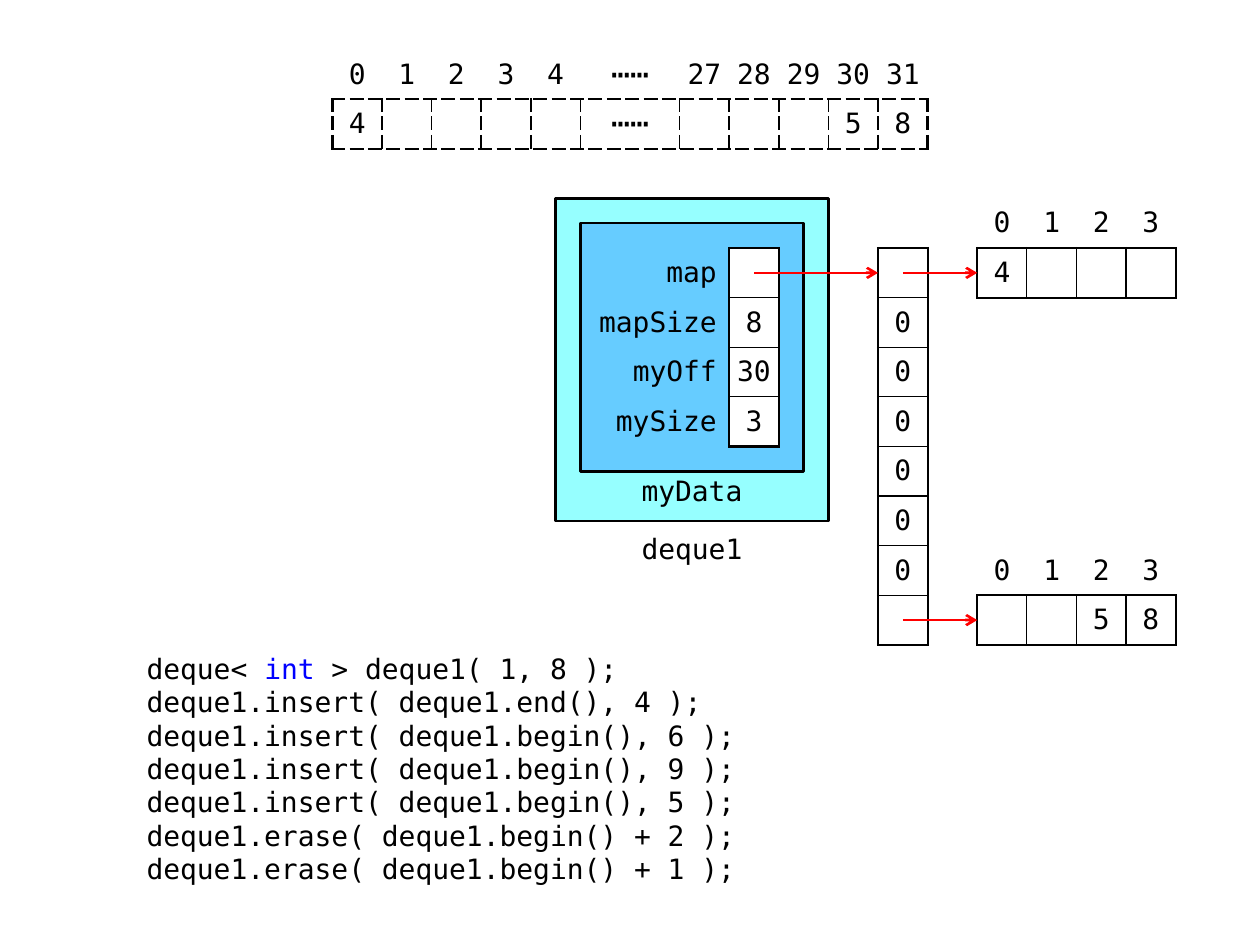
from dataclasses import dataclass

from lxml.etree import SubElement
from pptx import Presentation
from pptx.dml.color import RGBColor
from pptx.enum.shapes import MSO_CONNECTOR, MSO_SHAPE
from pptx.enum.text import MSO_ANCHOR, MSO_AUTO_SIZE, PP_ALIGN
from pptx.oxml.ns import qn
from pptx.util import Cm, Pt


@dataclass(frozen=True)
class Theme:
    font: str = "DejaVu Sans Mono"
    text_size: Pt = Pt(16)
    dots_size: Pt = Pt(18)
    code_spacing: Pt = Pt(19.15)
    outline: Pt = Pt(1.5)
    black: RGBColor = RGBColor(0, 0, 0)
    white: RGBColor = RGBColor(255, 255, 255)
    keyword: RGBColor = RGBColor(0, 0, 255)
    arrow: RGBColor = RGBColor(255, 0, 0)
    deque_fill: RGBColor = RGBColor(0x96, 0xFF, 0xFF)
    data_fill: RGBColor = RGBColor(0x66, 0xCC, 0xFF)


THEME = Theme()
NO_STYLE_NO_GRID = "{2D5ABB26-0587-4C30-8999-92F81FD0307C}"
DOTS = "⋯⋯"


def format_runs(paragraph, alignment):
    paragraph.alignment = alignment
    for run in paragraph.runs:
        run.font.name = THEME.font
        run.font.size = THEME.dots_size if run.text == DOTS else THEME.text_size
        run.font.color.rgb = THEME.keyword if run.text == "int" else THEME.black


def add_grid(slide, left, top, widths, rows, box_row=0, box_column=0,
             inner=Pt(0.75), dash="solid"):
    """Add a table of 1 cm rows; cells from box_row and box_column on are boxed."""
    last_row, last_column = len(rows) - 1, len(widths) - 1
    table = slide.shapes.add_table(len(rows), len(widths), Cm(left), Cm(top),
                                   Cm(sum(widths)), Cm(len(rows))).table
    table.first_row = table.horz_banding = False
    table._tbl.tblPr.find(qn("a:tableStyleId")).text = NO_STYLE_NO_GRID
    for column, width in zip(table.columns, widths):
        column.width = Cm(width)
    for r, texts in enumerate(rows):
        table.rows[r].height = Cm(1)
        for c, text in enumerate(texts):
            cell = table.cell(r, c)
            is_label = c < box_column
            cell.vertical_anchor = MSO_ANCHOR.MIDDLE
            cell.margin_top = cell.margin_bottom = Cm(0.1)
            cell.margin_left = cell.margin_right = Cm(0.25 if is_label else 0.1)
            cell.text_frame.text = text
            format_runs(cell.text_frame.paragraphs[0],
                        PP_ALIGN.RIGHT if is_label else PP_ALIGN.CENTER)
            if r < box_row or is_label:
                cell.fill.background()
                continue
            outer_edges = {"L": c == box_column, "R": c == last_column,
                           "T": r == box_row, "B": r == last_row}
            for side, is_outer in outer_edges.items():
                border = SubElement(cell._tc.get_or_add_tcPr(), qn(f"a:ln{side}"),
                                    w=str(THEME.outline if is_outer else inner))
                fill = SubElement(border, qn("a:solidFill"))
                SubElement(fill, qn("a:srgbClr"), val=str(THEME.black))
                SubElement(border, qn("a:prstDash"), val=dash)
            cell.fill.solid()
            cell.fill.fore_color.rgb = THEME.white


presentation = Presentation()
presentation.slide_width, presentation.slide_height = Cm(25.4), Cm(19.05)
slide = presentation.slides.add_slide(presentation.slide_layouts[1])
title = slide.shapes.title
title._element.getparent().remove(title._element)

# Logical view of the deque
add_grid(slide, 6.7, 1, [1] * 5 + [2] + [1] * 5,
         [["0", "1", "2", "3", "4", DOTS, "27", "28", "29", "30", "31"],
          ["4", "", "", "", "", DOTS, "", "", "", "5", "8"]],
         box_row=1, inner=Pt(1), dash="sysDash")

# The deque object and its data
for left, top, width, height, color in [(11.2, 4, 5.5, 6.5, THEME.deque_fill),
                                        (11.7, 4.5, 4.5, 5, THEME.data_fill)]:
    box = slide.shapes.add_shape(MSO_SHAPE.FLOWCHART_PROCESS,
                                 Cm(left), Cm(top), Cm(width), Cm(height))
    box.shadow.inherit = False
    box.fill.solid()
    box.fill.fore_color.rgb = color
    box.line.color.rgb = THEME.black
    box.line.width = THEME.outline

for text, left, top, width, margin, anchor in [
        ("deque1", 12.2, 10.5, 3.5, 0.1, MSO_ANCHOR.MIDDLE),
        ("myData", 12.7, 9.5, 2.5, 0.05, MSO_ANCHOR.TOP)]:
    text_frame = slide.shapes.add_textbox(Cm(left), Cm(top), Cm(width), Cm(1)).text_frame
    text_frame.word_wrap = True
    text_frame.vertical_anchor = anchor
    text_frame.margin_left = text_frame.margin_right = Cm(0.2)
    text_frame.margin_top, text_frame.margin_bottom = Cm(margin), 0
    text_frame.text = text
    format_runs(text_frame.paragraphs[0], PP_ALIGN.CENTER)

add_grid(slide, 11.7, 5, [3, 1],
         [["map", ""], ["mapSize", "8"], ["myOff", "30"], ["mySize", "3"]],
         box_column=1)

# The map and the blocks it points to
add_grid(slide, 17.7, 5, [1], [[""]] + [["0"]] * 6 + [[""]])
for top, values in [(4, ["4", "", "", ""]), (11, ["", "", "5", "8"])]:
    add_grid(slide, 19.7, top, [1] * 4, [["0", "1", "2", "3"], values], box_row=1)

for start, end, y in [(15.2, 17.7, 5.5), (18.2, 19.7, 5.5), (18.2, 19.7, 12.5)]:
    arrow = slide.shapes.add_connector(MSO_CONNECTOR.STRAIGHT,
                                       Cm(start), Cm(y), Cm(end), Cm(y))
    arrow.line.color.rgb = THEME.arrow
    arrow.line.width = THEME.outline
    SubElement(arrow.line._get_or_add_ln(), qn("a:tailEnd"), type="arrow")
    SubElement(arrow._element.spPr, qn("a:effectLst"))

# Code that leads to this state
code = slide.placeholders[1]
code.left, code.top, code.width, code.height = Cm(2.7), Cm(13), Cm(14), Cm(5)
code.text_frame.auto_size = MSO_AUTO_SIZE.NONE
code_lines = [
    ["deque< ", "int", " > deque1( 1, 8 );"],
    ["deque1.insert( deque1.end(), 4 );"],
    *[[f"deque1.insert( deque1.begin(), {value} );"] for value in (6, 9, 5)],
    *[[f"deque1.erase( deque1.begin() + {offset} );"] for offset in (2, 1)],
]
code.text_frame.text = "\n".join([""] * len(code_lines))
for paragraph, pieces in zip(code.text_frame.paragraphs, code_lines):
    for piece in pieces:
        paragraph.add_run().text = piece
    format_runs(paragraph, PP_ALIGN.LEFT)
    paragraph.space_before = Pt(0)
    paragraph.line_spacing = THEME.code_spacing
    properties = paragraph._p.get_or_add_pPr()
    properties.set("marL", "0")
    properties.set("indent", "0")
    SubElement(properties, qn("a:buNone"))

presentation.save("out.pptx")
